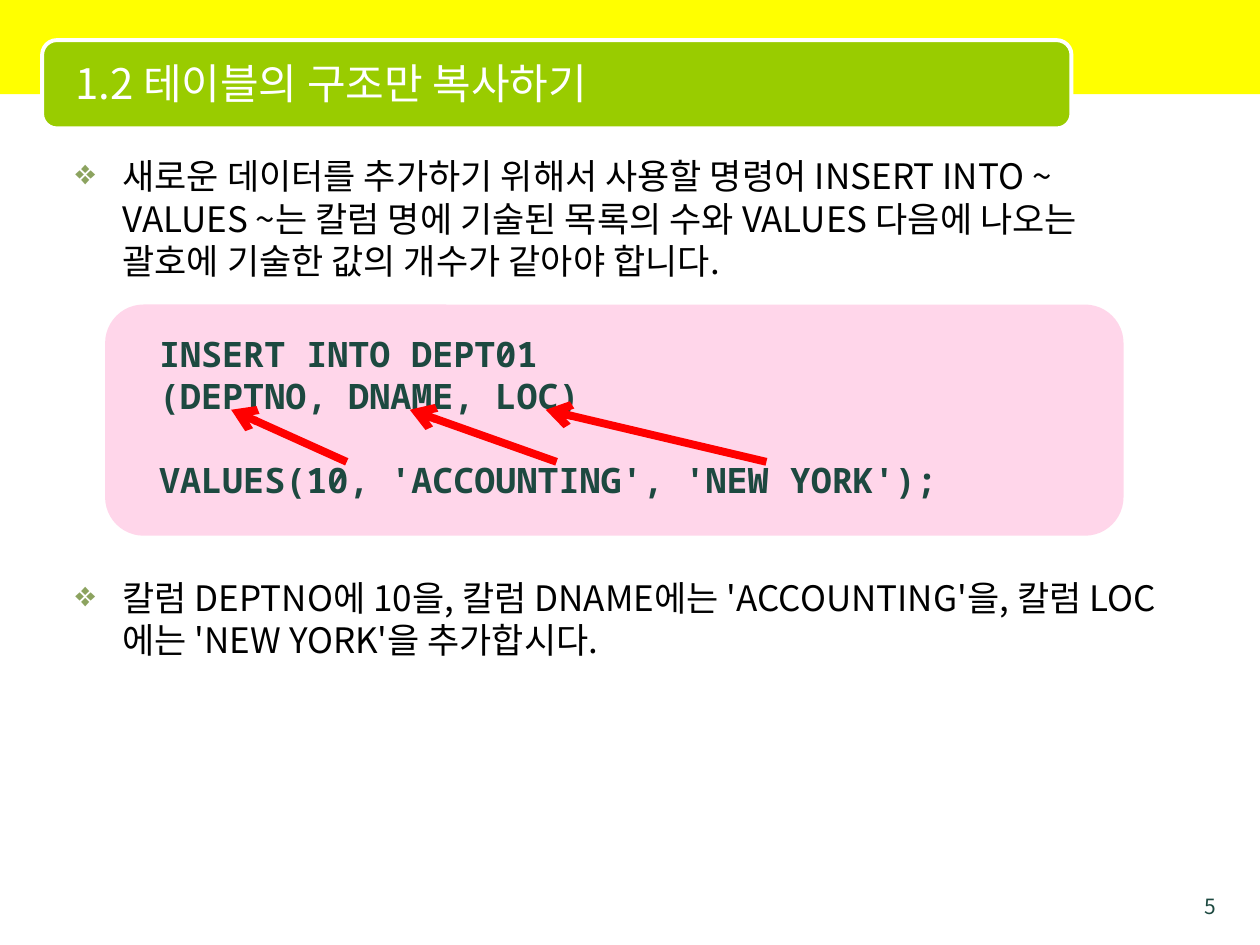
import pptx
import pptx.util
import pptx.dml.color
import pptx.enum.shapes
import pptx.enum.text
import pptx.oxml.ns
import lxml.etree

Cm = pptx.util.Cm
Pt = pptx.util.Pt
qn = pptx.oxml.ns.qn
COLORS = {
    "band": "FFFF00", "title": "99CC00", "white": "FFFFFF", "code": "1D4940",
    "text": "000000", "bullet": "8CA35F", "panel": "FF99CC", "arrow": "FF0000",
}
SANS = "Noto Sans CJK KR"
MONO = "Noto Sans Mono"

deck = pptx.Presentation()
deck.slide_width = Cm(25.4)
deck.slide_height = Cm(19.05)
page = deck.slides.add_slide(deck.slide_layouts[6])


def add_panel(kind, left, top, width, height, color):
    shape = page.shapes.add_shape(kind, Cm(left), Cm(top), Cm(width), Cm(height))
    shape.shadow.inherit = False
    shape.fill.solid()
    shape.fill.fore_color.rgb = pptx.dml.color.RGBColor.from_string(COLORS[color])
    shape.line.fill.background()
    return shape


def add_text(left, top, width, height, lines, size, color, font=SANS, bold=False):
    box = page.shapes.add_textbox(Cm(left), Cm(top), Cm(width), Cm(height))
    box.text_frame.word_wrap = True
    for index, line in enumerate(lines):
        para = box.text_frame.paragraphs[0] if index == 0 else box.text_frame.add_paragraph()
        span = para.add_run()
        span.text = line
        span.font.size = Pt(size)
        span.font.name = font
        span.font.bold = bold
        span.font.color.rgb = pptx.dml.color.RGBColor.from_string(COLORS[color])
        properties = span.font._element
        east_asian = lxml.etree.SubElement(properties, qn("a:ea"))
        east_asian.set("typeface", font)
    return box


RECTANGLE = pptx.enum.shapes.MSO_SHAPE.RECTANGLE
ROUNDED = pptx.enum.shapes.MSO_SHAPE.ROUNDED_RECTANGLE

add_panel(RECTANGLE, 0, 0, 25.4, 1.9, "band")
title_panel = add_panel(ROUNDED, 0.85, 0.81, 20.75, 1.78, "title")
title_panel.line.color.rgb = pptx.dml.color.RGBColor.from_string(COLORS["white"])
title_panel.line.width = Pt(2.25)

number = add_text(23.5, 17.88, 1.27, 0.53, ["5"], 12, "code")
number.text_frame.paragraphs[0].alignment = pptx.enum.text.PP_ALIGN.RIGHT

title = add_text(1.27, 0.89, 20.12, 1.57, ["1.2 테이블의 구조만 복사하기"], 24, "white")
title.text_frame.vertical_anchor = pptx.enum.text.MSO_ANCHOR.MIDDLE

body = add_text(1.27, 3, 22.86, 15.6, [
    "새로운 데이터를 추가하기 위해서 사용할 명령어 INSERT INTO ~ VALUES ~는 칼럼 명에 기술된 목록의 수와 VALUES 다음에 나오는 괄호에 기술한 값의 개수가 같아야 합니다.",
    "칼럼 DEPTNO에 10을, 칼럼 DNAME에는 'ACCOUNTING'을, 칼럼 LOC에는 'NEW YORK'을 추가합시다.",
], 20, "text")
body.text_frame.margin_right = Cm(0.5)
for para in body.text_frame.paragraphs:
    para.line_spacing = Pt(24)
    properties = para._p.get_or_add_pPr()
    properties.set("marL", str(Cm(0.95)))
    properties.set("indent", str(Cm(-0.95)))
    bullet_color = lxml.etree.SubElement(properties, qn("a:buClr"))
    lxml.etree.SubElement(bullet_color, qn("a:srgbClr")).set("val", COLORS["bullet"])
    lxml.etree.SubElement(properties, qn("a:buChar")).set("char", "❖")
body.text_frame.paragraphs[1].space_before = Pt(169)

code_panel = add_panel(ROUNDED, 2.12, 6.14, 20.53, 4.66, "panel")
panel_color = code_panel._element.spPr.find(qn("a:solidFill"))[0]
lxml.etree.SubElement(panel_color, qn("a:alpha")).set("val", "40000")

code = add_text(2.96, 6.48, 18.84, 3.66, [
    "INSERT INTO DEPT01",
    "(DEPTNO, DNAME, LOC)",
    "VALUES(10, 'ACCOUNTING', 'NEW YORK');",
], 20, "code", MONO, True)
code.text_frame.margin_top = Cm(0.22)
for para in code.text_frame.paragraphs:
    para.line_spacing = Pt(24)
code.text_frame.paragraphs[2].space_before = Pt(24)

for value_x, column_x in [(6.99, 4.66), (11.22, 8.26), (15.45, 11)]:
    arrow = page.shapes.add_connector(
        pptx.enum.shapes.MSO_CONNECTOR.STRAIGHT,
        Cm(value_x), Cm(9.31), Cm(column_x), Cm(8.26))
    arrow.line.color.rgb = pptx.dml.color.RGBColor.from_string(COLORS["arrow"])
    arrow.line.width = Pt(4.5)
    lxml.etree.SubElement(arrow.line._get_or_add_ln(), qn("a:tailEnd")).set("type", "arrow")
    lxml.etree.SubElement(arrow._element.spPr, qn("a:effectLst"))

deck.save("out.pptx")
